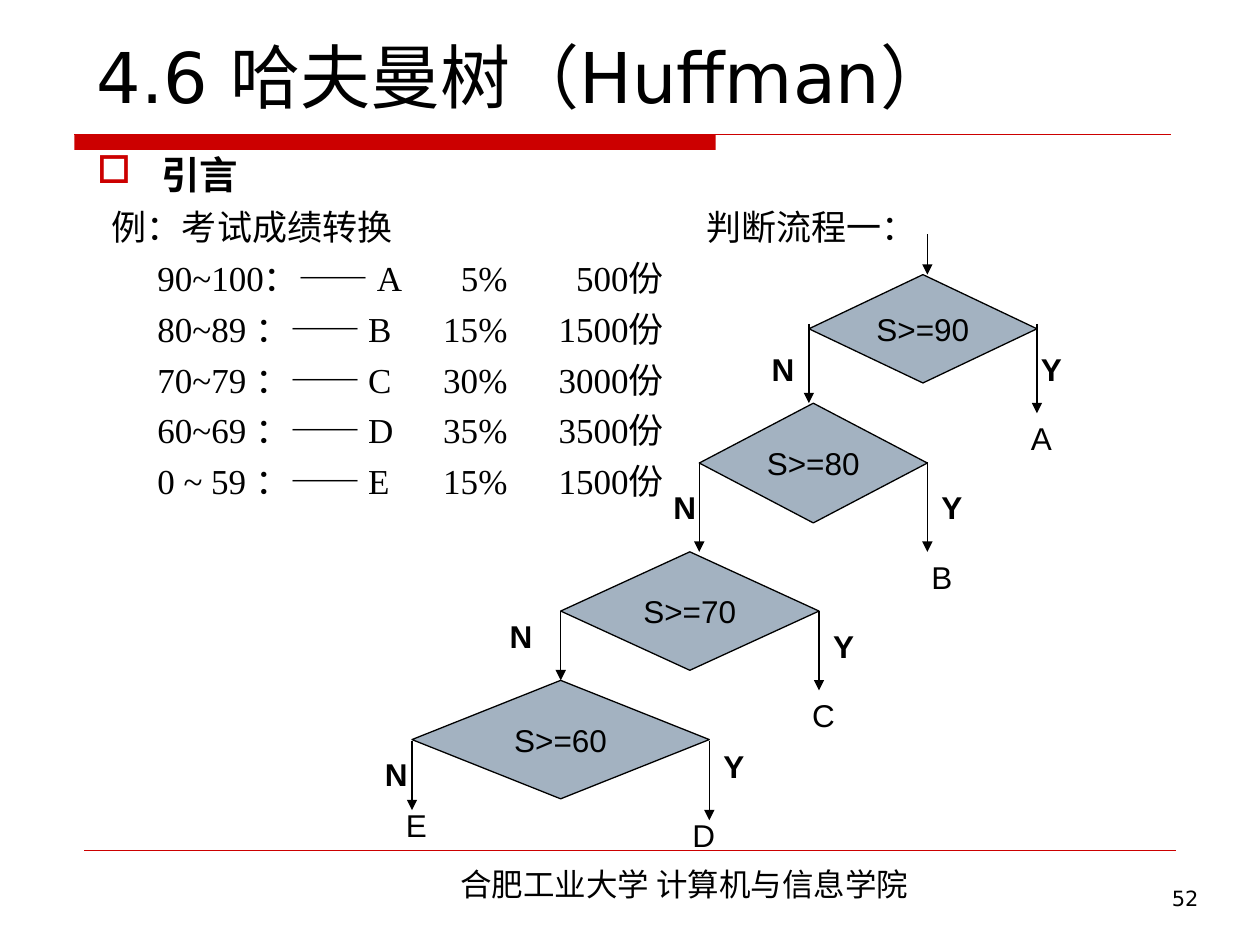
import pptx
import pptx.util
import pptx.dml.color
import pptx.enum.shapes
import pptx.enum.text
import pptx.oxml.ns
import lxml.etree

Inches = pptx.util.Inches
Pt = pptx.util.Pt
RGBColor = pptx.dml.color.RGBColor
Align = pptx.enum.text.PP_ALIGN
Anchor = pptx.enum.text.MSO_ANCHOR
Shape = pptx.enum.shapes.MSO_SHAPE
qn = pptx.oxml.ns.qn

RED = RGBColor(0xCC, 0x00, 0x00)
BLACK = RGBColor(0x00, 0x00, 0x00)
DIAMOND = RGBColor(0xA3, 0xB2, 0xC1)
CJK_FONT = "Noto Sans CJK SC"

TITLE = "4.6 哈夫曼树（Huffman）"
HEADING = "引言"
CAPTIONS = ("例：考试成绩转换", "判断流程一：")
GRADES = [
    ("90~100：—— A", "5%", "500份"),
    ("80~89 ：—— B", "15%", "1500份"),
    ("70~79 ：—— C", "30%", "3000份"),
    ("60~69 ：—— D", "35%", "3500份"),
    ("0 ~ 59 ：—— E", "15%", "1500份"),
]
CAPTION_TABS = [(0.12, "l"), (4.84, "l")]
GRADE_TABS = [(0.48, "l"), (3.26, "r"), (4.5, "r")]
FOOTER = "合肥工业大学 计算机与信息学院"
PAGE_NUMBER = "52"

DECISIONS = [
    {"text": "S>=90", "box": (6.42, 2.18, 1.81, 0.86), "exit": 2.57, "yes_end": 3.28,
     "N": (5.94, 2.73), "Y": (8.07, 2.73), "leaf": ("A", 7.99, 3.28)},
    {"text": "S>=80", "box": (5.55, 3.2, 1.81, 0.95), "exit": 3.67, "yes_end": 4.38,
     "N": (5.16, 3.83), "Y": (7.28, 3.83), "leaf": ("B", 7.2, 4.38)},
    {"text": "S>=70", "box": (4.45, 4.38, 2.05, 0.94), "exit": 4.85, "yes_end": 5.48,
     "N": (3.86, 4.85), "Y": (6.42, 4.93), "leaf": ("C", 6.26, 5.48)},
    {"text": "S>=60", "box": (3.27, 5.4, 2.36, 0.94), "exit": 5.88, "yes_end": 6.51,
     "N": (2.87, 5.95), "Y": (5.55, 5.88), "leaf": ("D", 5.31, 6.43)},
]
LAST_LEAF = ("E", 3.03, 6.35)
LAST_NO_END = 6.43
ENTRY = (7.36, 1.86, 2.18)
LABEL_SIZE = (0.55, 0.39)

presentation = pptx.Presentation()
presentation.slide_width = Inches(10)
presentation.slide_height = Inches(7.5)
slide = presentation.slides.add_slide(presentation.slide_layouts[6])


def add_run(paragraph, text, size, font, bold=False):
    run = paragraph.add_run()
    run.text = text
    run.font.size = Pt(size)
    run.font.name = font
    run.font.bold = bold
    run.font.color.rgb = BLACK
    east_asian = lxml.etree.Element(qn("a:ea"), typeface=CJK_FONT)
    run.font._element.find(qn("a:latin")).addnext(east_asian)


def add_text(box, text, size, font, align=Align.LEFT, anchor=Anchor.TOP, bold=False, wrap=True):
    shape = slide.shapes.add_textbox(*map(Inches, box))
    frame = shape.text_frame
    frame.word_wrap = wrap
    frame.vertical_anchor = anchor
    frame.paragraphs[0].alignment = align
    add_run(frame.paragraphs[0], text, size, font, bold)
    return frame


def add_label(text, left, top, bold=False):
    add_text((left, top, *LABEL_SIZE), text, 18, "Arial", Align.CENTER, Anchor.MIDDLE, bold, False)


def add_line(start, end, color, width, arrow=False):
    line = slide.shapes.add_connector(
        pptx.enum.shapes.MSO_CONNECTOR.STRAIGHT, *map(Inches, start + end))
    line.line.color.rgb = color
    line.line.width = Pt(width)
    if arrow:
        lxml.etree.SubElement(line.line._get_or_add_ln(), qn("a:tailEnd"), type="triangle")
    lxml.etree.SubElement(line._element.spPr, qn("a:effectLst"))


def add_tabbed_line(frame, cells, tabs):
    paragraph = frame.add_paragraph()
    paragraph.space_before = Pt(5)
    properties = paragraph._p.get_or_add_pPr()
    tab_list = lxml.etree.SubElement(properties, qn("a:tabLst"))
    for position, align in tabs:
        lxml.etree.SubElement(tab_list, qn("a:tab"), pos=str(Inches(position)), algn=align)
    add_run(paragraph, "".join("\t" + cell for cell in cells), 20, "Times New Roman")


def add_decision(text, box):
    shape = slide.shapes.add_shape(Shape.FLOWCHART_DECISION, *map(Inches, box))
    shape.shadow.inherit = False
    shape.fill.solid()
    shape.fill.fore_color.rgb = DIAMOND
    shape.line.color.rgb = BLACK
    shape.line.width = Pt(0.75)
    frame = shape.text_frame
    frame.word_wrap = False
    frame.vertical_anchor = Anchor.MIDDLE
    frame.paragraphs[0].alignment = Align.CENTER
    add_run(frame.paragraphs[0], text, 18, "Arial")


title_bar = slide.shapes.add_shape(Shape.RECTANGLE, *map(Inches, (0.59, 1.07, 5.09, 0.12)))
title_bar.shadow.inherit = False
title_bar.fill.solid()
title_bar.fill.fore_color.rgb = RED
title_bar.line.fill.background()
add_line((0.59, 1.07), (9.29, 1.07), RED, 0.75)
add_line((0.67, 6.75), (9.33, 6.75), RED, 0.25)
add_text((2.4, 6.82, 6.06, 0.4), FOOTER, 18, CJK_FONT, Align.CENTER)
add_text((7.44, 6.98, 2.17, 0.52), PAGE_NUMBER, 12, "DejaVu Sans", Align.RIGHT)
add_text((0.67, -0.35, 8.75, 1.33), TITLE, 40, "DejaVu Sans", anchor=Anchor.BOTTOM)

body = add_text((0.67, 1.15, 8.74, 5.67), HEADING, 22, "Times New Roman", bold=True)
heading = body.paragraphs[0]
heading.space_before = Pt(5.5)
heading_properties = heading._p.get_or_add_pPr()
heading_properties.set("marL", str(Inches(0.51)))
heading_properties.set("indent", str(Inches(-0.51)))
bullet_color = lxml.etree.SubElement(heading_properties, qn("a:buClr"))
lxml.etree.SubElement(bullet_color, qn("a:srgbClr"), val=str(RED))
lxml.etree.SubElement(heading_properties, qn("a:buChar"), char="□")
add_tabbed_line(body, CAPTIONS, CAPTION_TABS)
for grade in GRADES:
    add_tabbed_line(body, grade, GRADE_TABS)

no_ends = [decision["box"][1] for decision in DECISIONS[1:]] + [LAST_NO_END]
entry_x, entry_top, entry_bottom = ENTRY
add_line((entry_x, entry_top), (entry_x, entry_bottom), BLACK, 0.75, True)
for decision, no_end in zip(DECISIONS, no_ends):
    left, top, width, height = decision["box"]
    add_decision(decision["text"], decision["box"])
    for x, end in ((left, no_end), (left + width, decision["yes_end"])):
        add_line((x, decision["exit"]), (x, end), BLACK, 0.75, True)
    for answer in ("N", "Y"):
        add_label(answer, *decision[answer], bold=True)
    add_label(*decision["leaf"])
add_label(*LAST_LEAF)

presentation.save("out.pptx")
